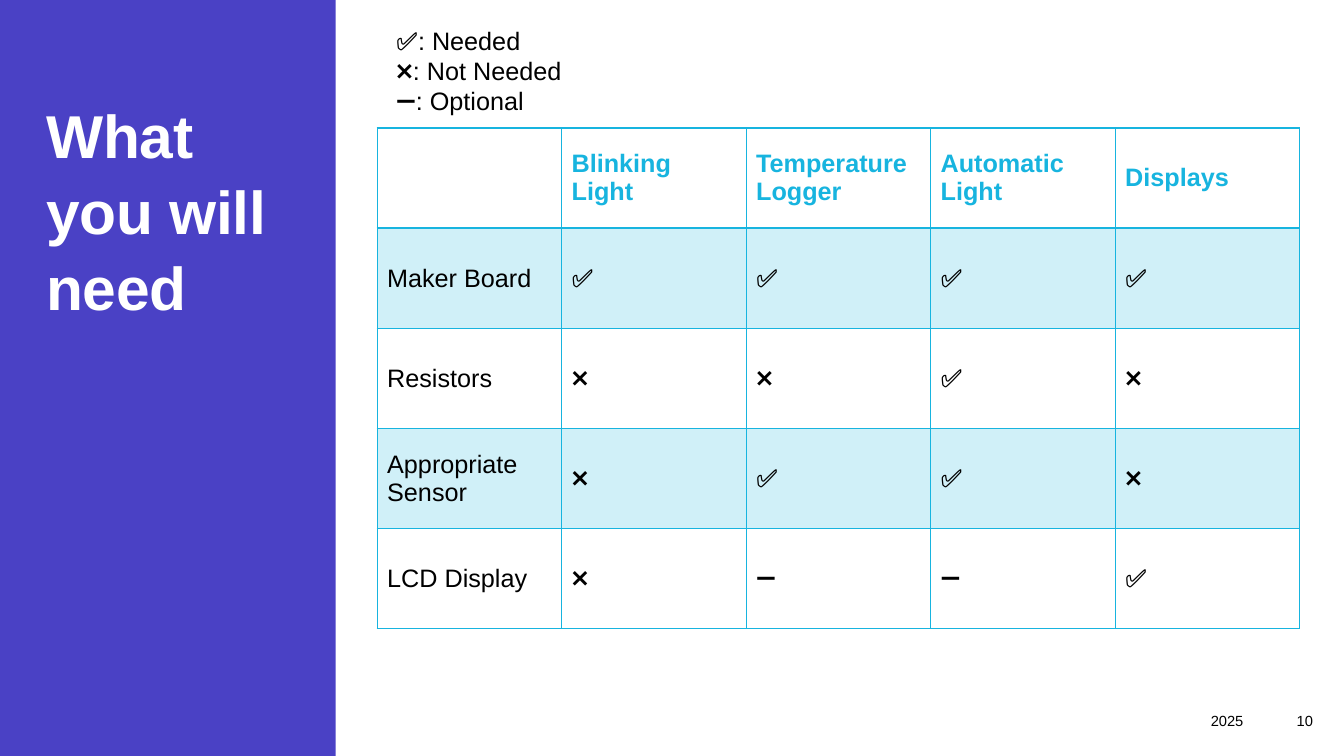
import lxml.etree
import pptx
import pptx.dml.color
import pptx.enum.shapes
import pptx.enum.text
import pptx.oxml.ns
import pptx.util

Inches, Pt = pptx.util.Inches, pptx.util.Pt
Align, Anchor = pptx.enum.text.PP_ALIGN, pptx.enum.text.MSO_ANCHOR
qn = pptx.oxml.ns.qn

COLORS = {"panel": "4A41C5", "accent": "17B4DF", "text": "000000", "title": "FFFFFF"}
YES, NO, MAYBE = "✅", "❌", "➖"
ROWS = [
    ["", "Blinking Light", "Temperature Logger", "Automatic Light", "Displays"],
    ["Maker Board", YES, YES, YES, YES],
    ["Resistors", NO, NO, YES, NO],
    ["Appropriate Sensor", NO, YES, YES, NO],
    ["LCD Display", NO, MAYBE, MAYBE, YES],
]


def style(frame, size, color, bold=False, align=Align.LEFT):
    for para in frame.paragraphs:
        para.alignment = align
        for run in para.runs:
            run.font.name = "Arial"
            run.font.size = Pt(size)
            run.font.bold = bold
            run.font.color.rgb = pptx.dml.color.RGBColor.from_string(COLORS[color])


def add_text(box, text, anchor):
    """Add a wrapping text box and return its text frame."""
    frame = slide.shapes.add_textbox(*map(Inches, box)).text_frame
    frame.word_wrap = True
    frame.vertical_anchor = anchor
    frame.text = text
    return frame


deck = pptx.Presentation()
deck.slide_width, deck.slide_height = Inches(13.33), Inches(7.5)
slide = deck.slides.add_slide(deck.slide_layouts[6])

# Side panel and title
panel = slide.shapes.add_shape(
    pptx.enum.shapes.MSO_SHAPE.RECTANGLE, 0, 0, Inches(3.33), Inches(7.5))
panel.shadow.inherit = False
panel.fill.solid()
panel.fill.fore_color.rgb = pptx.dml.color.RGBColor.from_string(COLORS["panel"])
panel.line.fill.background()

title = add_text((0.36, 1.09, 2.61, 2.16), "What you will need", Anchor.BOTTOM)
title.paragraphs[0].line_spacing = 1.05
style(title, 43.2, "title", bold=True)
title.paragraphs[0].runs[0].font._element.set("spc", "-20")

# Table of parts
table = slide.shapes.add_table(
    len(ROWS), len(ROWS[0]), Inches(3.74), Inches(1.27), Inches(9.15), Inches(4.97)).table
table.first_row = table.horz_banding = False
for r, row in enumerate(ROWS):
    for c, text in enumerate(row):
        cell = table.cell(r, c)
        cell.text = text
        cell.vertical_anchor = Anchor.MIDDLE
        head = r == 0
        style(cell.text_frame, 18, "accent" if head else "text", bold=head)

        props = cell._tc.get_or_add_tcPr()
        for side in "LRTB":
            thick = (r, side) in [(0, "B"), (1, "T")]
            edge = lxml.etree.SubElement(
                props, qn(f"a:ln{side}"), w=str(Pt(2 if thick else 1)))
            paint = lxml.etree.SubElement(edge, qn("a:solidFill"))
            lxml.etree.SubElement(paint, qn("a:srgbClr"), val=COLORS["accent"])

        if r % 2:
            cell.fill.solid()
            cell.fill.fore_color.rgb = pptx.dml.color.RGBColor.from_string(COLORS["accent"])
            tint = props.find(qn("a:solidFill")).find(qn("a:srgbClr"))
            lxml.etree.SubElement(tint, qn("a:alpha"), val="20000")
        else:
            cell.fill.background()

# Footer
for left, width, text in [(7.67, 4.76, "2025"), (12.43, 0.69, "10")]:
    foot = add_text((left, 6.95, width, 0.4), text, Anchor.MIDDLE)
    style(foot, 10.5, "text", align=Align.RIGHT)

# Legend
legend = add_text((3.83, 0.2, 5.17, 1.01),
                  f"{YES}: Needed\n{NO}: Not Needed\n{MAYBE}: Optional", Anchor.TOP)
legend.auto_size = pptx.enum.text.MSO_AUTO_SIZE.SHAPE_TO_FIT_TEXT
style(legend, 18, "text")

deck.save("out.pptx")
